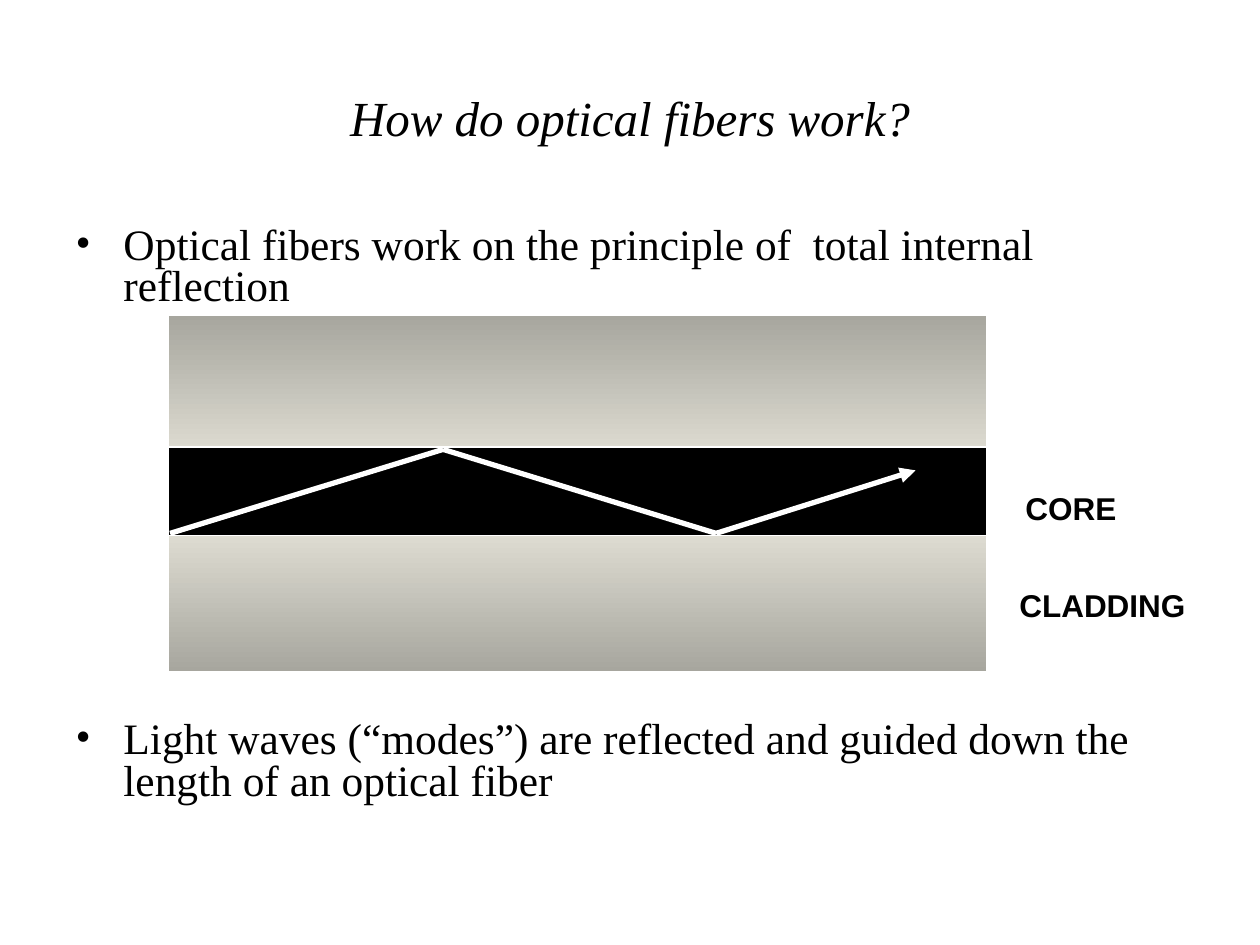
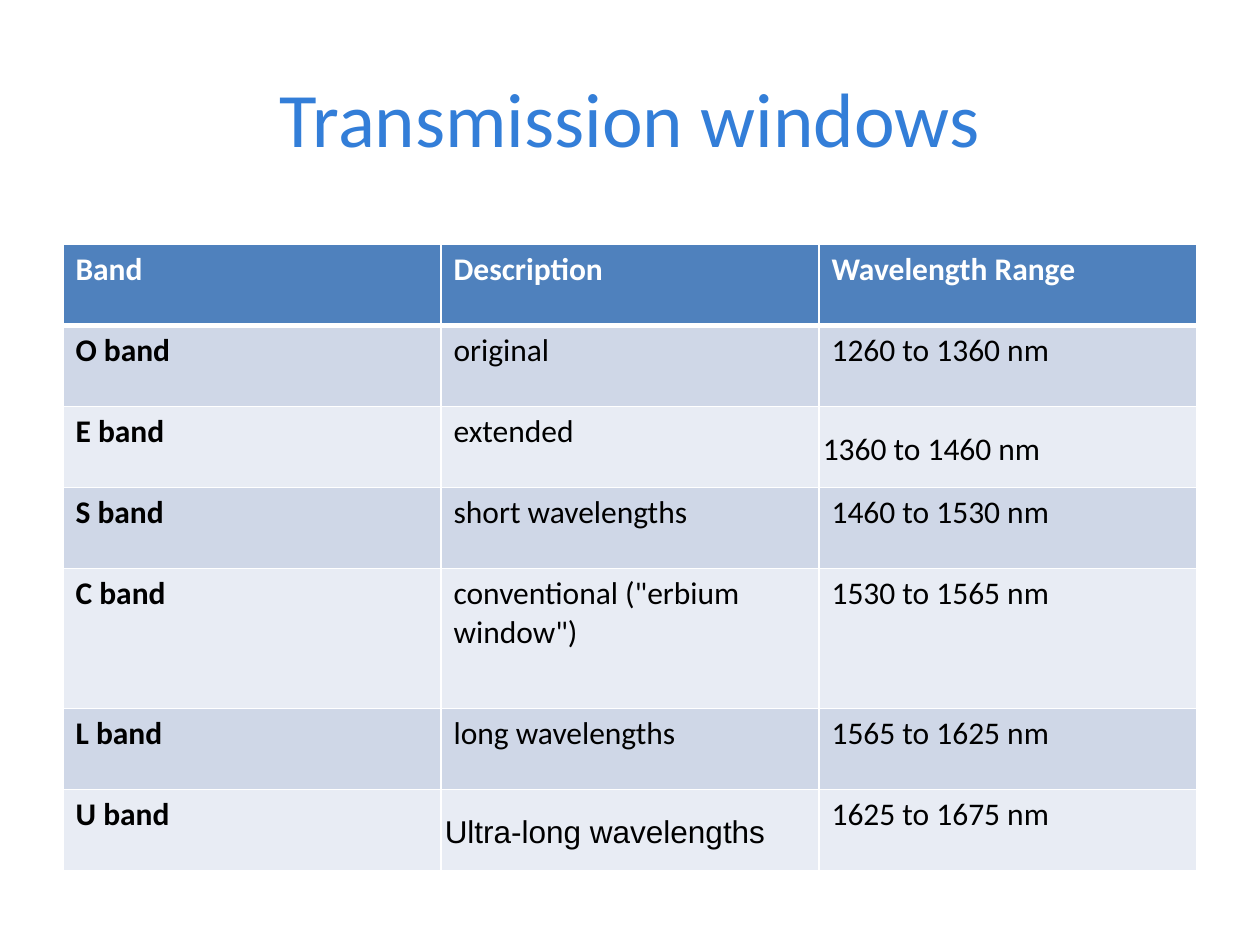
import copy
import itertools
import lxml.etree
import pptx
import pptx.dml.color
import pptx.enum.shapes
import pptx.enum.text
import pptx.oxml.ns
import pptx.util

BLACK, WHITE = "000000", "FFFFFF"
BLUE, HEAD = "337ED8", "4F81BD"
BANDS = "CFD7E7", "E8ECF4"
GREY, CREAM = "A7A69E", "EEECE1"
SERIF, SANS, PLAIN = "Times New Roman", "Arial", "Calibri"
COLS, ROWS = 60, 45
MID = pptx.enum.text.MSO_ANCHOR.MIDDLE
CENTER = pptx.enum.text.PP_ALIGN.CENTER
qn = pptx.oxml.ns.qn


def tint(code):
    return pptx.dml.color.RGBColor.from_string(code)


def node(host, tag, **attrs):
    return lxml.etree.SubElement(host, qn(tag), attrs)


def write(frame, text, size=18, font=PLAIN, color=BLACK, bold=False,
          slant=False, align=None, pitch=None, gap=None, bullet=None, more=False):
    para = frame.add_paragraph() if more else frame.paragraphs[0]
    if bullet:
        props = para._p.get_or_add_pPr()
        indent = pptx.util.Inches(0.38)
        props.set("marL", str(indent))
        props.set("indent", str(-indent))
        node(node(props, "a:buClr"), "a:srgbClr", val=color)
        node(props, "a:buFont", typeface=font)
        node(props, "a:buChar", char=bullet)
    para.alignment = align
    para.line_spacing = pitch
    if gap is not None:
        para.space_before = pptx.util.Pt(gap)
    run = para.add_run()
    run.text = text
    run.font.size = pptx.util.Pt(size)
    run.font.name = font
    run.font.bold = bold
    run.font.italic = slant
    run.font.color.rgb = tint(color)


class Deck:
    def __init__(self):
        self.show = pptx.Presentation()
        self.show.slide_width = pptx.util.Inches(10)
        self.show.slide_height = pptx.util.Inches(7.5)
        self.slide = None

    def x(self, cols):
        return round(self.show.slide_width * cols / COLS)

    def y(self, rows):
        return round(self.show.slide_height * rows / ROWS)

    def box(self, left, top, wide, high):
        return self.x(left), self.y(top), self.x(wide), self.y(high)

    def place(self, shape, *area):
        shape.left, shape.top, shape.width, shape.height = self.box(*area)
        frame = shape.text_frame
        frame.word_wrap = True
        frame.auto_size = pptx.enum.text.MSO_AUTO_SIZE.NONE
        return frame

    def start(self, layout, title, **style):
        self.slide = self.show.slides.add_slide(self.show.slide_layouts[layout])
        frame = self.place(self.slide.shapes.title, 3, 1.8, 54, 7.5)
        frame.vertical_anchor = MID
        write(frame, title, align=CENTER, **style)

    def list(self, items, gap, **style):
        frame = self.place(self.slide.placeholders[1], 3, 10.5, 54, 29.7)
        for i, item in enumerate(items):
            write(frame, item, gap=gap if i else 0, more=i > 0, bullet="•", **style)

    def block(self, *area, fills):
        shape = self.slide.shapes.add_shape(
            pptx.enum.shapes.MSO_SHAPE.RECTANGLE, *self.box(*area))
        shape.shadow.inherit = False
        shape.line.color.rgb = tint(WHITE)
        shape.line.width = pptx.util.Pt(1)
        if len(fills) == 1:
            shape.fill.solid()
            shape.fill.fore_color.rgb = tint(fills[0])
            return
        shape.fill.gradient()
        shape.fill.gradient_angle = 90
        stops = shape._element.spPr.find(".//" + qn("a:gsLst"))
        while len(stops) < len(fills):
            stops.append(copy.deepcopy(stops[0]))
        for i, (stop, code) in enumerate(zip(shape.fill.gradient_stops, fills)):
            stop.position = i / (len(fills) - 1)
            stop.color.rgb = tint(code)

    def ray(self, points):
        for start, end in itertools.pairwise(points):
            line = self.slide.shapes.add_connector(
                pptx.enum.shapes.MSO_CONNECTOR.STRAIGHT,
                self.x(start[0]), self.y(start[1]), self.x(end[0]), self.y(end[1]))
            line.line.color.rgb = tint(WHITE)
            line.line.width = pptx.util.Pt(3)
            props = line._element.spPr
            node(props, "a:effectLst")
        node(props.find(qn("a:ln")), "a:tailEnd", type="triangle")

    def label(self, text, *area):
        shape = self.slide.shapes.add_textbox(*self.box(*area))
        write(self.place(shape, *area), text, font=SANS, bold=True, align=CENTER)

    def edge(self, cell, base):
        props = cell._tc.get_or_add_tcPr()
        for i, side in enumerate(("L", "R", "T", "B")):
            width = pptx.util.Pt(base if side == "B" else 1)
            line = lxml.etree.Element(qn("a:ln" + side), w=str(width))
            node(node(line, "a:solidFill"), "a:srgbClr", val=WHITE)
            props.insert(i, line)

    def table(self, left, top, wide, highs, rows, tight):
        grid = self.slide.shapes.add_table(
            len(rows), len(rows[0]),
            *self.box(left, top, wide * len(rows[0]), sum(highs))).table
        grid.horz_banding = False
        for col in grid.columns:
            col.width = self.x(wide)
        for r, (row, high) in enumerate(zip(rows, highs)):
            grid.rows[r].height = self.y(high)
            for c, text in enumerate(row):
                cell = grid.cell(r, c)
                cell.fill.solid()
                cell.fill.fore_color.rgb = tint(BANDS[(r - 1) % 2] if r else HEAD)
                self.edge(cell, 1 if r else 3)
                font = tight.get((r, c))
                if font:
                    cell.vertical_anchor = MID
                    cell.margin_left = cell.margin_right = pptx.util.Inches(0.03)
                    cell.margin_top = cell.margin_bottom = pptx.util.Inches(0.03)
                write(cell.text_frame, text, font=font or PLAIN,
                      color=BLACK if r else WHITE, bold=r == 0 or c == 0,
                      pitch=1.15 if font else None)


def main():
    deck = Deck()

    deck.start(1, "How do optical fibers work?", size=28, font=SERIF, slant=True)
    deck.list(["Optical fibers work on the principle of  total internal reflection",
               "Light waves (“modes”) are reflected and guided down the length"
               " of an optical fiber"],
              gap=235, size=24.8, font=SERIF, pitch=0.8)
    deck.block(8, 15, 39, 17, fills=[GREY, CREAM, GREY])
    deck.block(8, 21.3, 39, 4.2, fills=[BLACK])
    deck.ray([(8.1, 25.4), (21.1, 21.4), (34.1, 25.4), (43.6, 22.4)])
    deck.label("CORE", 47.5, 23, 7, 2.4)
    deck.label("CLADDING", 47.5, 27.6, 10, 2.4)

    deck.start(5, "Transmission windows", size=44, color=BLUE)
    rows = [
        ("Band", "Description", "Wavelength Range"),
        ("O band", "original", "1260 to 1360 nm"),
        ("E band", "extended", "1360 to 1460 nm"),
        ("S band", "short wavelengths", "1460 to 1530 nm"),
        ("C band", 'conventional ("erbium window")', "1530 to 1565 nm"),
        ("L band", "long wavelengths", "1565 to 1625 nm"),
        ("U band", "Ultra-long wavelengths", "1625 to 1675 nm"),
    ]
    highs = [6.66 if row[0] == "C band" else 3.86 for row in rows]
    deck.table(3, 11.64, 18, highs, rows, tight={(2, 2): PLAIN, (6, 1): SANS})

    deck.show.save("out.pptx")


if __name__ == "__main__":
    main()
